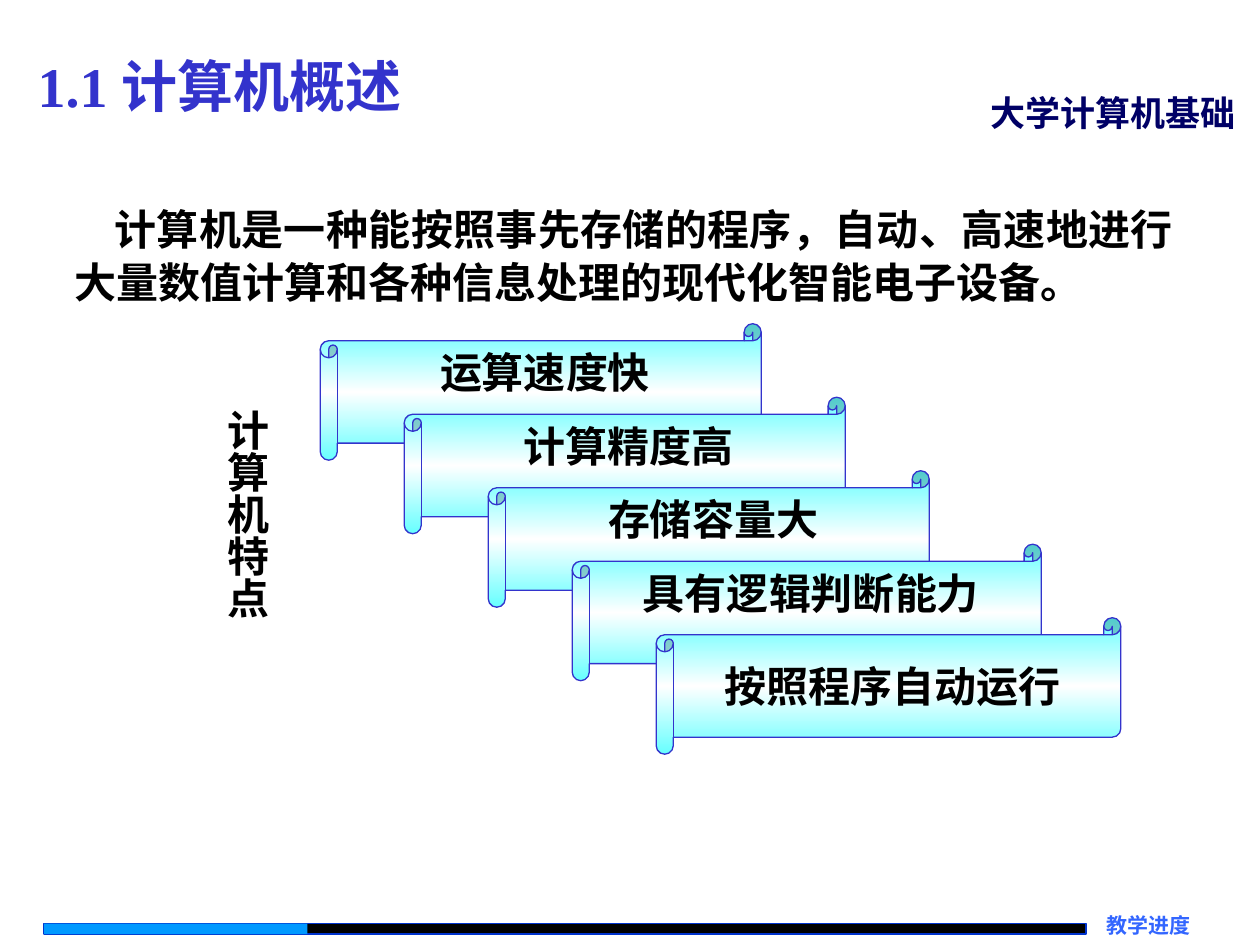
from lxml import etree
from pptx import Presentation
from pptx.dml.color import RGBColor
from pptx.enum.shapes import MSO_SHAPE
from pptx.enum.text import MSO_ANCHOR, MSO_AUTO_SIZE, PP_ALIGN
from pptx.oxml.ns import qn
from pptx.util import Pt

COLORS = {
    "black": "000000", "white": "FFFFFF", "aqua": "66FFFF", "indigo": "3333CC",
    "navy": "000066", "track_line": "0033CC", "progress": "0099FF", "label": "3366FF",
}
CJK, LATIN = "Noto Sans CJK SC", "Times New Roman"

# Content: text, left, top, width, height, size, color, Latin font
TITLE = ("1.1 计算机概述", 14.4, 26, 329, 45.4, 32, "indigo", LATIN)
COURSE = ("大学计算机基础", 558.7, 49, 161.3, 31, 20, "navy", LATIN)
DEFINITION = (
    "计算机是一种能按照事先存储的程序，自动、高速地进行大量数值计算和各种信息处理的现代化智能电子设备。",
    35.3, 111.6, 642.2, 67.7, 24, "black", CJK)
FEATURES_LABEL = ("计算机特点", 116, 226.8, 43.2, 180, 24, "black", CJK)
PROGRESS_LABEL = ("教学进度", 620.6, 521.3, 59.8, 15.1, 12, "label", LATIN)
FEATURES = [  # text, scroll width
    ("运算速度快", 252), ("计算精度高", 252), ("存储容量大", 252),
    ("具有逻辑判断能力", 268), ("按照程序自动运行", 265.5),
]
SCROLL_LEFT, SCROLL_TOP, SCROLL_HEIGHT = 183, 185, 78
STEP_X, STEP_Y = 48, 42
BAR_LEFT, BAR_TOP, BAR_HEIGHT = 25.2, 527.8, 6
TRACK_WIDTH, PROGRESS_WIDTH = 595.4, 150.5

deck = Presentation()
deck.slide_width, deck.slide_height = Pt(720), Pt(540)
page = deck.slides.add_slide(deck.slide_layouts[6])


def rgb(name):
    return RGBColor.from_string(COLORS[name])


def write(shape, text, size, color, font, align=PP_ALIGN.LEFT):
    frame = shape.text_frame
    frame.word_wrap = True
    frame.text = text
    para = frame.paragraphs[0]
    para.alignment = align
    for span in para.runs:
        span.font.size, span.font.bold, span.font.name = Pt(size), True, font
        span.font.color.rgb = rgb(color)
        etree.SubElement(span.font._element, qn("a:ea"), typeface=CJK)
    return para


def add_text(content, align=PP_ALIGN.LEFT):
    text, left, top, width, height, size, color, font = content
    box = page.shapes.add_textbox(Pt(left), Pt(top), Pt(width), Pt(height))
    para = write(box, text, size, color, font, align)
    box.text_frame.auto_size = MSO_AUTO_SIZE.SHAPE_TO_FIT_TEXT
    return box, para


def add_shape(kind, left, top, width, height, line=None):
    shape = page.shapes.add_shape(kind, Pt(left), Pt(top), Pt(width), Pt(height))
    shape.shadow.inherit = False
    if line:
        shape.line.color.rgb = rgb(line)
        shape.line.width = Pt(0.75)
    else:
        shape.line.fill.background()
    return shape


def fill_gradient(shape, stops):
    shape.fill.gradient()
    shape.fill.gradient_angle = 270
    stop_list = shape._element.spPr.find(qn("a:gradFill")).find(qn("a:gsLst"))
    for stop in list(stop_list):
        stop_list.remove(stop)
    for percent, color in stops:
        stop = etree.SubElement(stop_list, qn("a:gs"), pos=str(percent * 1000))
        etree.SubElement(stop, qn("a:srgbClr"), val=COLORS[color])


# Progress bar and its label
for width, color, line in [(TRACK_WIDTH, "black", "track_line"),
                           (PROGRESS_WIDTH, "progress", None)]:
    bar = add_shape(MSO_SHAPE.RECTANGLE, BAR_LEFT, BAR_TOP, width, BAR_HEIGHT, line)
    bar.fill.solid()
    bar.fill.fore_color.rgb = rgb(color)

box, para = add_text(PROGRESS_LABEL, PP_ALIGN.RIGHT)
frame = box.text_frame
frame.word_wrap = False
frame.auto_size = MSO_AUTO_SIZE.NONE
frame.margin_left = frame.margin_right = frame.margin_top = frame.margin_bottom = 0

# Headings and definition
add_text(COURSE)
add_text(TITLE)
box, para = add_text(DEFINITION, PP_ALIGN.JUSTIFY)
para.line_spacing = 1.05
para._p.get_or_add_pPr().set("indent", str(Pt(23)))

# Cascade of feature scrolls
for index, (text, width) in enumerate(FEATURES):
    scroll = add_shape(MSO_SHAPE.HORIZONTAL_SCROLL, SCROLL_LEFT + index * STEP_X,
                       SCROLL_TOP + index * STEP_Y, width, SCROLL_HEIGHT, "indigo")
    fill_gradient(scroll, [(0, "aqua"), (50, "white"), (100, "aqua")])
    write(scroll, text, 24, "black", CJK, PP_ALIGN.CENTER)
    is_last = index == len(FEATURES) - 1
    scroll.text_frame.vertical_anchor = MSO_ANCHOR.MIDDLE if is_last else MSO_ANCHOR.TOP

# Vertical label beside the scrolls
box, para = add_text(FEATURES_LABEL)
box.text_frame._txBody.bodyPr.set("vert", "eaVert")

deck.save("out.pptx")
